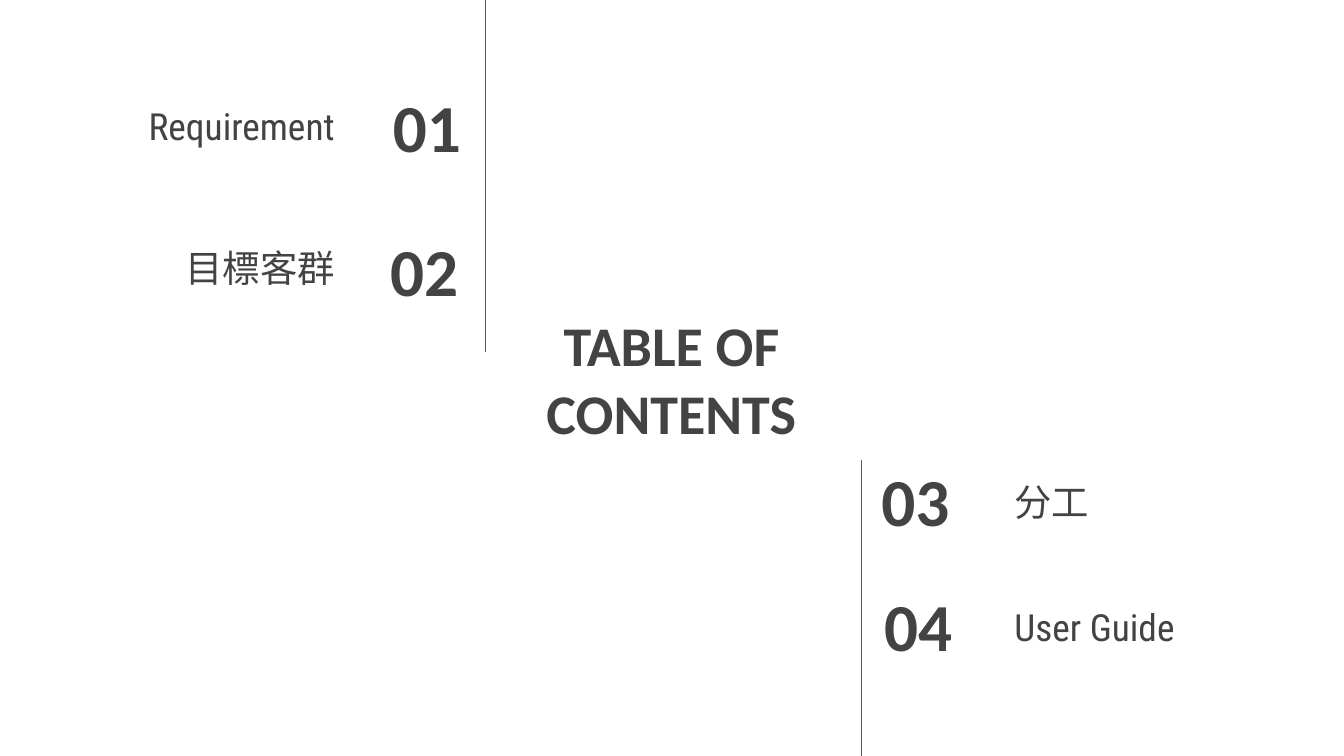
from lxml import etree
from pptx import Presentation
from pptx import util as u
from pptx.dml import color
from pptx.enum import shapes, text
from pptx.oxml import ns

LEFT, MID, RIGHT = text.PP_ALIGN.LEFT, text.PP_ALIGN.CENTER, text.PP_ALIGN.RIGHT
TOP, CENTRE = text.MSO_ANCHOR.TOP, text.MSO_ANCHOR.MIDDLE
HEAD, BODY, HAN = "Calibri", "Roboto Condensed", "Noto Sans CJK SC"


def tint(code):
    """Turn a hex string into a colour."""
    return color.RGBColor.from_string(code)


def write(frame, words, size=20, font=BODY, ink="434343", bold=False, align=LEFT):
    """Put formatted words into a text frame."""
    para = frame.paragraphs[0]
    para.alignment = align
    run = para.add_run()
    run.text = words
    face = run.font
    face.size, face.name, face.bold = u.Pt(size), font, bold
    face.color.rgb = tint(ink)
    if font == HAN:
        etree.SubElement(run._r.get_or_add_rPr(), ns.qn("a:ea"), typeface=font)


class Page:
    """Hold the style and the current slide."""

    ink, rule, inset = "434343", "595959", 0.25

    def __init__(self, slide):
        """Take the slide to draw on."""
        self.slide = slide

    def label(self, words, x, y, wide, high=1.6, anchor=TOP, **form):
        """Add a text box."""
        frame = self.slide.shapes.add_textbox(*map(u.Cm, (x, y, wide, high))).text_frame
        frame.word_wrap = True
        frame.vertical_anchor = anchor
        frame.margin_left = frame.margin_right = u.Cm(self.inset)
        frame.margin_top = frame.margin_bottom = u.Cm(self.inset)
        write(frame, words, ink=self.ink, **form)

    def head(self, words, *box, size=36, align=LEFT):
        """Add a bold heading."""
        self.label(words, *box, anchor=CENTRE, size=size, font=HEAD, bold=True, align=align)

    def line(self, x, top, end):
        """Add an upright line."""
        line = self.slide.shapes.add_connector(
            shapes.MSO_CONNECTOR.STRAIGHT, *map(u.Cm, (x, top, x, end)))
        line.line.color.rgb = tint(self.rule)
        line.line.width = u.Pt(0.75)
        etree.SubElement(line._element.spPr, ns.qn("a:effectLst"))


def main():
    """Build the contents slide."""
    deck = Presentation()
    deck.slide_width, deck.slide_height = u.Cm(25.4), u.Cm(14.29)
    page = Page(deck.slides.add_slide(deck.slide_layouts[6]))
    page.head("TABLE OF CONTENTS", 9.4, 5.84, 6.58, 2.62, size=30, align=MID)
    items = [
        ("Requirement", BODY, RIGHT, 1.93, 1.7, 5.89, 1.57),
        ("目標客群", HAN, RIGHT, 1.93, 4.39, 5.84, 4.29),
        ("分工", HAN, LEFT, 18.92, 8.81, 16.41, 8.64),
        ("User Guide", BODY, LEFT, 18.92, 11.18, 16.46, 11),
    ]
    for count, (name, font, align, x, y, num_x, num_y) in enumerate(items, 1):
        page.head(f"{count:02}", num_x, num_y, 3.07, align=align)
        page.label(name, x, y, 4.65, font=font, align=align)
    page.line(9.17, 0, 6.65)
    page.line(16.28, 8.69, 14.29)
    deck.save("out.pptx")


if __name__ == "__main__":
    main()
